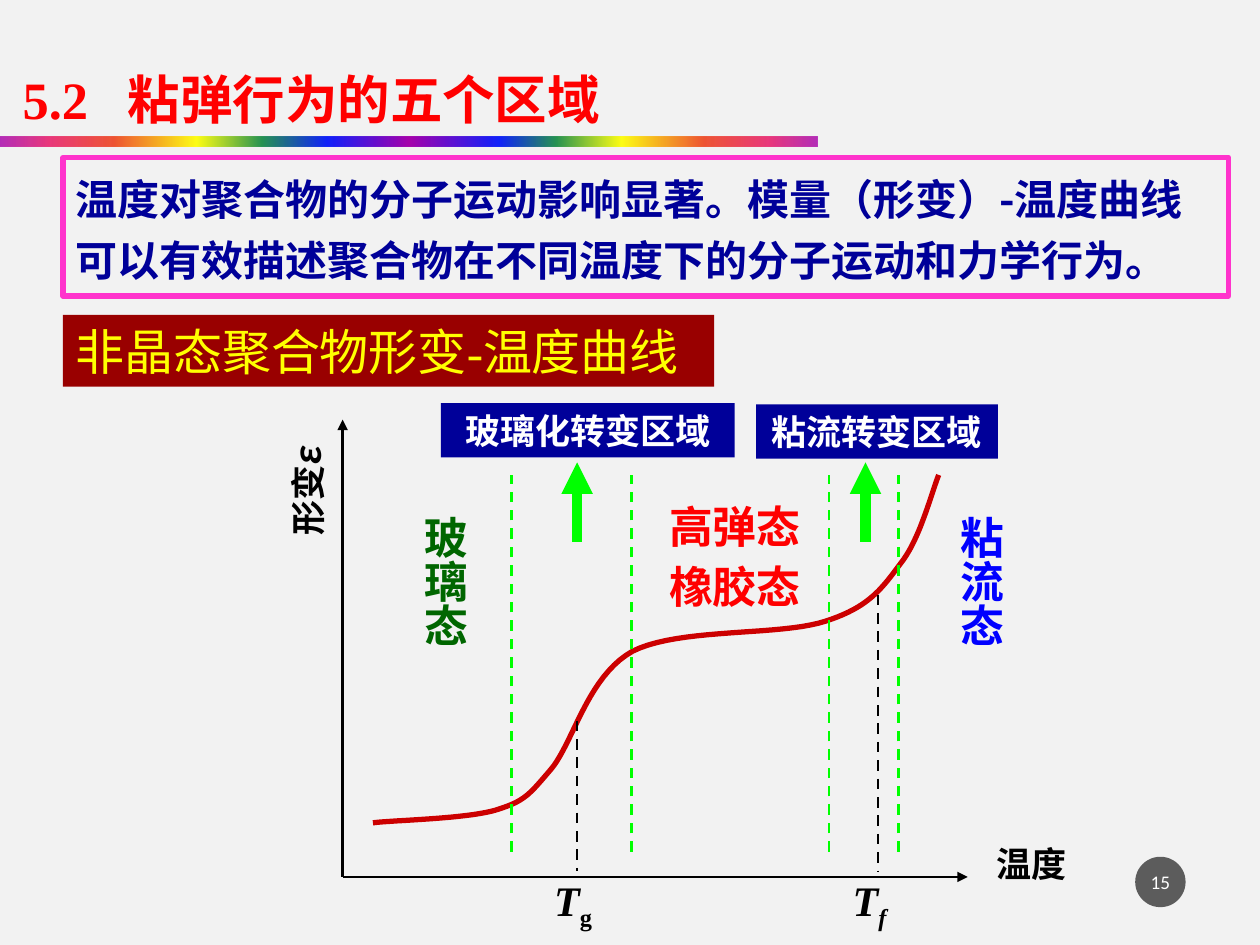
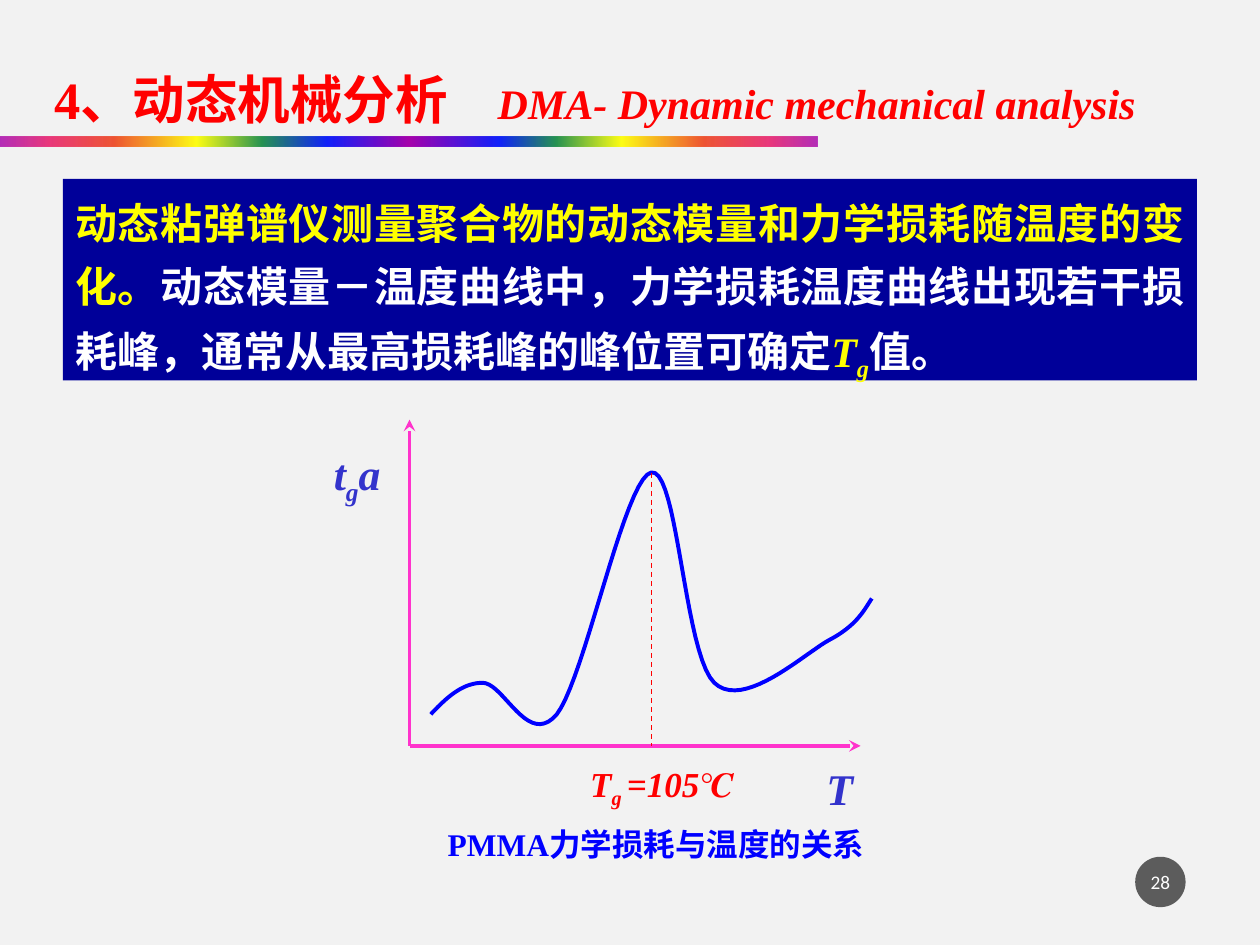
"""Build two polymer physics slides: deformation-temperature curve and dynamic mechanical analysis."""
from lxml.etree import SubElement
from pptx import Presentation
from pptx.dml.color import RGBColor
from pptx.enum.dml import MSO_LINE
from pptx.enum.shapes import MSO_CONNECTOR, MSO_SHAPE
from pptx.enum.text import MSO_ANCHOR, PP_ALIGN
from pptx.oxml.ns import qn
from pptx.util import Pt

SERIF, SANS, CJK = "Times New Roman", "Calibri", "Noto Sans CJK SC"
RED, NAVY, BLUE, YELLOW = "FF0000", "000099", "0000FF", "FFFF00"
WHITE, BLACK, GREEN, PINK, INDIGO = "FFFFFF", "000000", "00FF00", "FF33CC", "3333CC"
BACKGROUND, BADGE = "F2F2F2", "1D1D1D"

BAND_FRAME = (0, 77.8, 467.3, 5.8)
BAND_STOPS = [
    (0, "A603AB", 82), (6, "E81766", 84), (14, "EE3F17", 87), (24, "FFFF00", 91),
    (32, "1A8D48", 94), (40, "0819FB", 96), (50, "A603AB", 100), (61, "0819FB", 96),
    (68, "1A8D48", 94), (76, "FFFF00", 91), (86, "EE3F17", 87), (94, "E81766", 84),
    (100, "A603AB", 82),
]
BADGE_FRAME = (648.7, 489.6, 28.8, 28.8)
TITLE = {"font": SERIF, "size": 30, "color": RED}
AXIS_NAME = {"font": SANS, "size": 20, "color": BLACK}
REGION = {"font": SANS, "size": 20, "color": WHITE}
STATE = {"font": SANS, "size": 25}
SYMBOL = {"font": SERIF, "size": 24, "color": BLACK, "italic": True}
DMA_SYMBOL = {"font": SERIF, "size": 25, "color": INDIGO, "italic": True}
SUB = {"baseline": -25}

DEFORMATION = {
    "number": "15",
    "texts": [
        {"frame": (5.8, 23.8, 372, 54), "style": TITLE, "line_spacing": 1.3, "tab": 60,
         "paragraphs": [[("5.2\t粘弹行为的五个区域", {})]]},
        {"frame": (36, 90, 666, 79.2), "outline": PINK, "line_spacing": 1.2,
         "style": {"font": CJK, "size": 24, "color": NAVY},
         "paragraphs": [[("温度对聚合物的分子运动影响显著。模量（形变）-温度曲线"
                          "可以有效描述聚合物在不同温度下的分子运动和力学行为。", {})]]},
        {"frame": (36, 180, 372.2, 41), "fill": "990000", "anchor": MSO_ANCHOR.MIDDLE, "wrap": False,
         "style": {"font": SERIF, "size": 28, "color": YELLOW, "bold": False},
         "paragraphs": [[("非晶态聚合物形变-温度曲线", {})]]},
        {"frame": (252, 230.4, 167.8, 31), "fill": NAVY, "align": PP_ALIGN.CENTER,
         "style": REGION, "paragraphs": [[("玻璃化转变区域", {})]]},
        {"frame": (432, 231.1, 138.2, 31), "fill": NAVY, "align": PP_ALIGN.CENTER,
         "style": REGION, "paragraphs": [[("粘流转变区域", {})]]},
        {"frame": (146.9, 250.6, 77.8, 59.8), "rotation": 270, "align": PP_ALIGN.CENTER,
         "style": AXIS_NAME, "paragraphs": [[("形变", {}), ("ε", {"size": 24, "italic": True})]]},
        {"frame": (553, 478.1, 73.4, 31), "align": PP_ALIGN.CENTER,
         "style": AXIS_NAME, "paragraphs": [[("温度", {})]]},
        {"frame": (228.2, 288, 44.6, 90), "vertical": True,
         "style": {**STATE, "color": "006600"}, "paragraphs": [[("玻璃态", {})]]},
        {"frame": (365.8, 282.2, 108, 72), "align": PP_ALIGN.CENTER, "space_before": 4,
         "style": {**STATE, "color": RED}, "paragraphs": [[("高弹态", {})], [("橡胶态", {})]]},
        {"frame": (534.2, 288, 44.6, 96.5), "vertical": True,
         "style": {**STATE, "color": BLUE}, "paragraphs": [[("粘流态", {})]]},
        {"frame": (309.6, 496.1, 37.4, 36), "wrap": False, "style": SYMBOL,
         "paragraphs": [[("T", {}), ("g", {**SUB, "italic": False})]]},
        {"frame": (480.2, 496.1, 34.6, 36), "wrap": False, "style": SYMBOL,
         "paragraphs": [[("T", {}), ("f", SUB)]]},
    ],
    "curve": {
        "color": "CC0000", "width": 3,
        "points": [
            (213.1, 470.2), (224.6, 468.7), (265.7, 468), (283, 463),
            (299.5, 457.9), (301.7, 455), (314.6, 439.9),
            (327.6, 424.8), (335.5, 386.6), (361.4, 372.2),
            (388.1, 358.6), (445.7, 363.6), (471.6, 355),
            (496.8, 347), (504, 336.2), (514.8, 321.8),
            (525.6, 308.2), (532.1, 282.2), (536.4, 271.4),
        ],
    },
    "lines": [
        {"ends": (195.8, 501.1, 195.8, 239.8), "color": BLACK, "width": 1.5, "arrow": "triangle"},
        {"ends": (195.8, 501.1, 553, 501.1), "color": BLACK, "width": 1.5, "arrow": "triangle"},
        {"ends": (329.8, 411.8, 329.8, 497.5), "color": BLACK, "width": 1.5, "dashed": True},
        {"ends": (501.8, 339.8, 501.8, 498.2), "color": BLACK, "width": 1.5, "dashed": True},
        *({"ends": (x, 486.7, x, 271.4), "color": GREEN, "width": 1.5, "dashed": True}
          for x in (292.3, 360.7, 473.8, 513.4)),
        *({"ends": (x, 309.6, x, 264.2), "color": GREEN, "width": 6, "arrow": "triangle"}
          for x in (329.8, 494.6)),
    ],
}

DYNAMIC_ANALYSIS = {
    "number": "28",
    "texts": [
        {"frame": (36, 102.2, 648, 115.2), "fill": NAVY, "align": PP_ALIGN.JUSTIFY,
         "line_spacing": 1.25, "style": {"font": SERIF, "size": 24, "color": YELLOW},
         "paragraphs": [[
             ("动态粘弹谱仪测量聚合物的动态模量和力学损耗随温度的变化。", {}),
             ("动态模量－温度曲线中，力学损耗温度曲线出现若干损耗峰，"
              "通常从最高损耗峰的峰位置可确定", {"color": WHITE}),
             ("T", {"italic": True}), ("g", {**SUB, "italic": True}), ("值。", {"color": WHITE}),
         ]]},
        {"frame": (23.8, 23.8, 678.2, 54), "style": TITLE, "line_spacing": 1.3, "tab": 253.5,
         "paragraphs": [[("4、动态机械分析\t", {}),
                         ("DMA- Dynamic mechanical analysis", {"size": 24, "italic": True})]]},
        {"frame": (306, 432, 144, 31), "align": PP_ALIGN.CENTER,
         "style": {"font": SERIF, "size": 20, "color": RED, "italic": True},
         "paragraphs": [[("T", {}), ("g ", SUB), ("=105℃", {})]]},
        {"frame": (174.2, 252, 59.8, 37.4), "align": PP_ALIGN.CENTER, "style": DMA_SYMBOL,
         "paragraphs": [[("t", {}), ("g", SUB), ("a", {})]]},
        {"frame": (450, 432, 59.8, 37.4), "align": PP_ALIGN.CENTER, "style": DMA_SYMBOL,
         "paragraphs": [[("T", {})]]},
        {"frame": (221.8, 468, 306, 28.8), "align": PP_ALIGN.CENTER,
         "style": {"font": SERIF, "size": 18, "color": BLUE},
         "paragraphs": [[("PMMA力学损耗与温度的关系", {})]]},
    ],
    "curve": {
        "color": BLUE, "width": 2.25,
        "points": [
            (246.2, 408.2), (254.9, 398.9), (264.2, 390.2), (275.8, 390.2),
            (288, 390.2), (301.7, 427.7), (318.2, 408.2),
            (334.1, 388.1), (357.1, 272.9), (372.2, 270),
            (387.4, 267.1), (391, 373.7), (408.2, 390.2),
            (424.8, 406.1), (459.4, 373.7), (473.8, 365.8),
            (488.9, 357.8), (493.2, 349.9), (498.2, 342),
        ],
    },
    "lines": [
        {"ends": (234, 426.2, 491.8, 426.2), "color": PINK, "width": 2.25, "arrow": "stealth"},
        {"ends": (234, 426.2, 234, 239.8), "color": PINK, "width": 2.25, "arrow": "stealth"},
        {"ends": (372.2, 270, 372.2, 426.2), "color": RED, "width": 0.75, "dashed": True},
    ],
}


def rgb(value):
    return RGBColor.from_string(value)


def points(values):
    return [Pt(value) for value in values]


def add_child(parent, tag, **attributes):
    return SubElement(parent, qn(tag), attributes)


def set_line(line, color, width):
    line.color.rgb = rgb(color)
    line.width = Pt(width)


def add_plain_shape(slide, kind, frame, fill=None, outline=None):
    shape = slide.shapes.add_shape(kind, *points(frame))
    shape.shadow.inherit = False
    if fill:
        shape.fill.solid()
        shape.fill.fore_color.rgb = rgb(fill)
    else:
        shape.fill.background()
    if outline:
        set_line(shape.line, outline, 3)
    else:
        shape.line.fill.background()
    return shape


def add_run(paragraph, text, font, size, color, bold=True, italic=False, baseline=0):
    run = paragraph.add_run()
    run.text = text
    run.font.name = font
    run.font.size = Pt(size)
    run.font.bold = bold
    run.font.italic = italic
    run.font.color.rgb = rgb(color)
    if baseline:
        run.font._element.set("baseline", str(baseline * 1000))


def add_text(slide, frame, paragraphs, style, fill=None, outline=None, align=PP_ALIGN.LEFT,
             anchor=MSO_ANCHOR.TOP, wrap=True, line_spacing=None, space_before=0, tab=None,
             rotation=0, vertical=False):
    if fill or outline:
        shape = add_plain_shape(slide, MSO_SHAPE.RECTANGLE, frame, fill, outline)
    else:
        shape = slide.shapes.add_textbox(*points(frame))
    shape.rotation = rotation
    text_frame = shape.text_frame
    text_frame.word_wrap = wrap
    text_frame.vertical_anchor = anchor
    if vertical:
        text_frame._txBody.bodyPr.set("vert", "eaVert")
    for index, runs in enumerate(paragraphs):
        paragraph = text_frame.add_paragraph() if index else text_frame.paragraphs[0]
        paragraph.alignment = align
        if line_spacing:
            paragraph.line_spacing = line_spacing
        if index and space_before:
            paragraph.space_before = Pt(space_before)
        if tab:
            tabs = add_child(paragraph._p.get_or_add_pPr(), "a:tabLst")
            add_child(tabs, "a:tab", pos=str(Pt(tab)), algn="l")
        for text, changes in runs:
            add_run(paragraph, text, **{**style, **changes})


def add_line(slide, ends, color, width, arrow=None, dashed=False):
    connector = slide.shapes.add_connector(MSO_CONNECTOR.STRAIGHT, *points(ends))
    set_line(connector.line, color, width)
    if dashed:
        connector.line.dash_style = MSO_LINE.DASH
    if arrow:
        add_child(connector.line._get_or_add_ln(), "a:tailEnd", type=arrow)
    add_child(connector._element.spPr, "a:effectLst")


def bezier_point(controls, t):
    weights = ((1 - t) ** 3, 3 * t * (1 - t) ** 2, 3 * t * t * (1 - t), t ** 3)
    return tuple(Pt(sum(w * control[axis] for w, control in zip(weights, controls)))
                 for axis in (0, 1))


def add_curve(slide, curve, steps=20):
    controls = curve["points"]
    vertices = [bezier_point(controls[start:start + 4], step / steps)
                for start in range(0, len(controls) - 1, 3) for step in range(1, steps + 1)]
    builder = slide.shapes.build_freeform(*points(controls[0]))
    builder.add_line_segments(vertices, close=False)
    shape = builder.convert_to_shape()
    shape.shadow.inherit = False
    shape.fill.background()
    set_line(shape.line, curve["color"], curve["width"])


def add_band(slide):
    band = add_plain_shape(slide, MSO_SHAPE.RECTANGLE, BAND_FRAME)
    band.fill.gradient()
    band.fill.gradient_angle = 0
    stops = band._element.spPr.find(qn("a:gradFill")).find(qn("a:gsLst"))
    for stop in list(stops):
        stops.remove(stop)
    for position, color, opacity in BAND_STOPS:
        stop = add_child(stops, "a:gs", pos=str(position * 1000))
        add_child(add_child(stop, "a:srgbClr", val=color), "a:alpha", val=str(opacity * 1000))


def add_page_badge(slide, number):
    badge = add_plain_shape(slide, MSO_SHAPE.OVAL, BADGE_FRAME, BADGE)
    color = badge._element.spPr.find(qn("a:solidFill")).find(qn("a:srgbClr"))
    add_child(color, "a:alpha", val="70000")
    text_frame = badge.text_frame
    text_frame.margin_left = text_frame.margin_right = Pt(1.4)
    text_frame.vertical_anchor = MSO_ANCHOR.MIDDLE
    paragraph = text_frame.paragraphs[0]
    paragraph.alignment = PP_ALIGN.CENTER
    add_run(paragraph, number, SANS, 11, WHITE, bold=False)


def add_content_slide(presentation, content):
    slide = presentation.slides.add_slide(presentation.slide_layouts[6])
    slide.background.fill.solid()
    slide.background.fill.fore_color.rgb = rgb(BACKGROUND)
    add_band(slide)
    for text in content["texts"]:
        add_text(slide, **text)
    add_curve(slide, content["curve"])
    for line in content["lines"]:
        add_line(slide, **line)
    add_page_badge(slide, content["number"])


def main():
    presentation = Presentation()
    presentation.slide_width, presentation.slide_height = Pt(720), Pt(540)
    for content in (DEFORMATION, DYNAMIC_ANALYSIS):
        add_content_slide(presentation, content)
    presentation.save("out.pptx")


if __name__ == "__main__":
    main()
